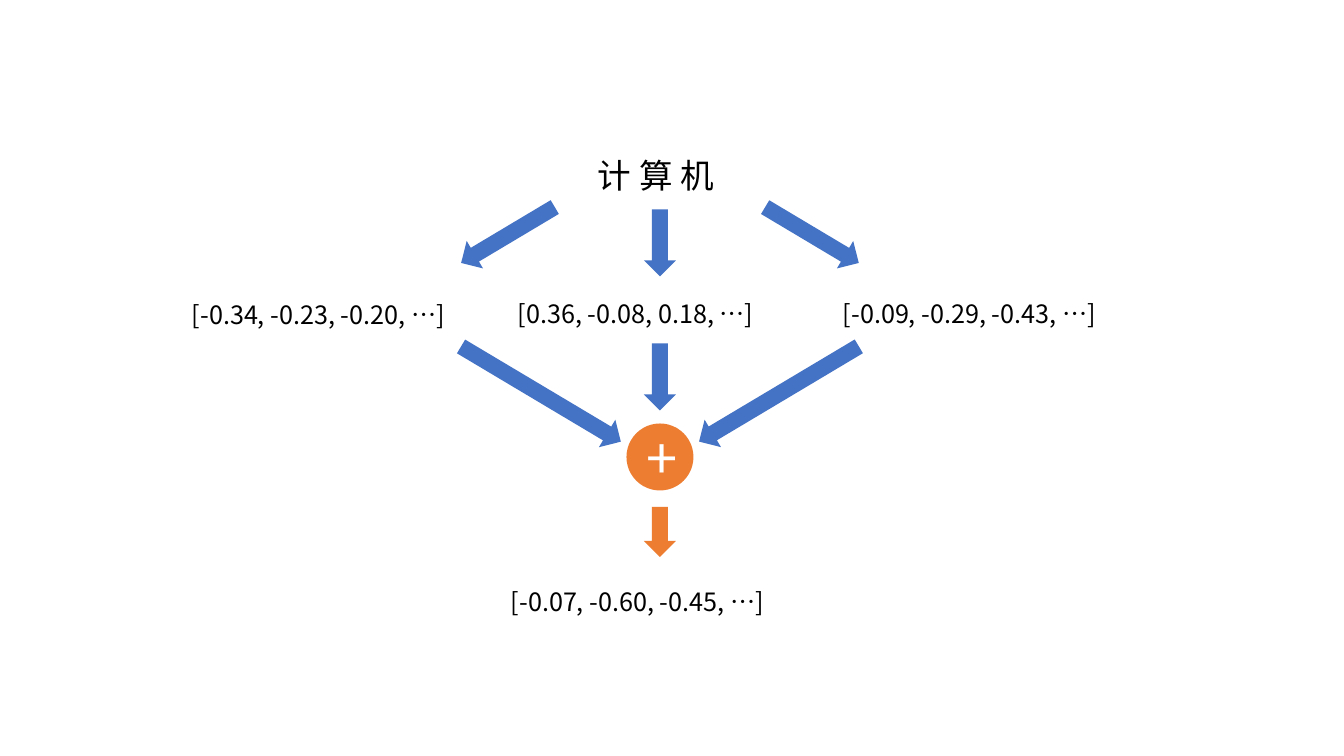
from dataclasses import dataclass

from lxml.etree import SubElement
from pptx import Presentation
from pptx.dml.color import RGBColor
from pptx.enum.shapes import MSO_SHAPE
from pptx.enum.text import MSO_ANCHOR, MSO_AUTO_SIZE, PP_ALIGN
from pptx.oxml.ns import qn
from pptx.util import Emu, Pt

EMU_PER_PIXEL = 914400 / 100.8


def px(pixels):
    return Emu(round(pixels * EMU_PER_PIXEL))


@dataclass(frozen=True)
class Theme:
    font: str = "Noto Sans CJK SC"
    text: RGBColor = RGBColor(0x00, 0x00, 0x00)
    light: RGBColor = RGBColor(0xFF, 0xFF, 0xFF)
    blue: RGBColor = RGBColor(0x44, 0x72, 0xC4)
    orange: RGBColor = RGBColor(0xED, 0x7D, 0x31)
    word_size: int = 24
    vector_size: int = 18
    sign_size: int = 40


class Diagram:
    def __init__(self, page, theme):
        self.page = page
        self.theme = theme

    def set_text(self, frame, text, size, color, align):
        para = frame.paragraphs[0]
        para.text = text
        para.alignment = align
        font = para.font
        font.name = self.theme.font
        font.size = Pt(size)
        font.color.rgb = color
        # Chinese characters take their typeface from a:ea
        defaults = para._p.pPr.find(qn("a:defRPr"))
        SubElement(defaults, qn("a:ea"), typeface=self.theme.font)

    def label(self, left, top, width, height, text, size, align=PP_ALIGN.LEFT):
        box = self.page.shapes.add_textbox(px(left), px(top), px(width), px(height))
        frame = box.text_frame
        frame.word_wrap = True
        frame.auto_size = MSO_AUTO_SIZE.SHAPE_TO_FIT_TEXT
        self.set_text(frame, text, size, self.theme.text, align)

    def vector(self, left, top, text):
        self.label(left, top, 317, 40, text, self.theme.vector_size)

    def shape(self, kind, center_x, center_y, width, height, color):
        shape = self.page.shapes.add_shape(
            kind, px(center_x - width / 2), px(center_y - height / 2), px(width), px(height))
        shape.shadow.inherit = False
        shape.fill.solid()
        shape.fill.fore_color.rgb = color
        shape.line.fill.background()
        return shape

    def arrow(self, center_x, center_y, length, color, angle=0):
        arrow = self.shape(MSO_SHAPE.DOWN_ARROW, center_x, center_y, 32, length, color)
        arrow.rotation = angle

    def sum_node(self, center_x, center_y, diameter):
        node = self.shape(MSO_SHAPE.OVAL, center_x, center_y, diameter, diameter,
                          self.theme.orange)
        node.text_frame.vertical_anchor = MSO_ANCHOR.MIDDLE
        self.set_text(node.text_frame, "+", self.theme.sign_size, self.theme.light,
                      PP_ALIGN.CENTER)


deck = Presentation()
deck.slide_width, deck.slide_height = px(1344), px(756)
theme = Theme()
diagram = Diagram(deck.slides.add_slide(deck.slide_layouts[6]), theme)

AXIS = 660
SLANT = 59.2

# Word and its three vectors
diagram.label(588, 150, 144, 50, "计 算 机", theme.word_size, PP_ALIGN.JUSTIFY)
for left, top, text in (
    (182, 294, "[-0.34, -0.23, -0.20, …]"),
    (508, 293, "[0.36, -0.08, 0.18, …]"),
    (833, 293, "[-0.09, -0.29, -0.43, …]"),
):
    diagram.vector(left, top, text)

# Arrows fan out from the word, then meet at the sum
for center_y, offset, length, side, middle_y in (
    (235, 152, 109, -1, 243),
    (394, 119, 186, 1, 377),
):
    diagram.arrow(AXIS - offset, center_y, length, theme.blue, -side * SLANT)
    diagram.arrow(AXIS, middle_y, 67, theme.blue)
    diagram.arrow(AXIS + offset, center_y, length, theme.blue, side * SLANT)

# Sum and its result
diagram.sum_node(AXIS, 457, 67)
diagram.arrow(AXIS, 532, 50, theme.orange)
diagram.vector(501, 581, "[-0.07, -0.60, -0.45, …]")

deck.save("out.pptx")
